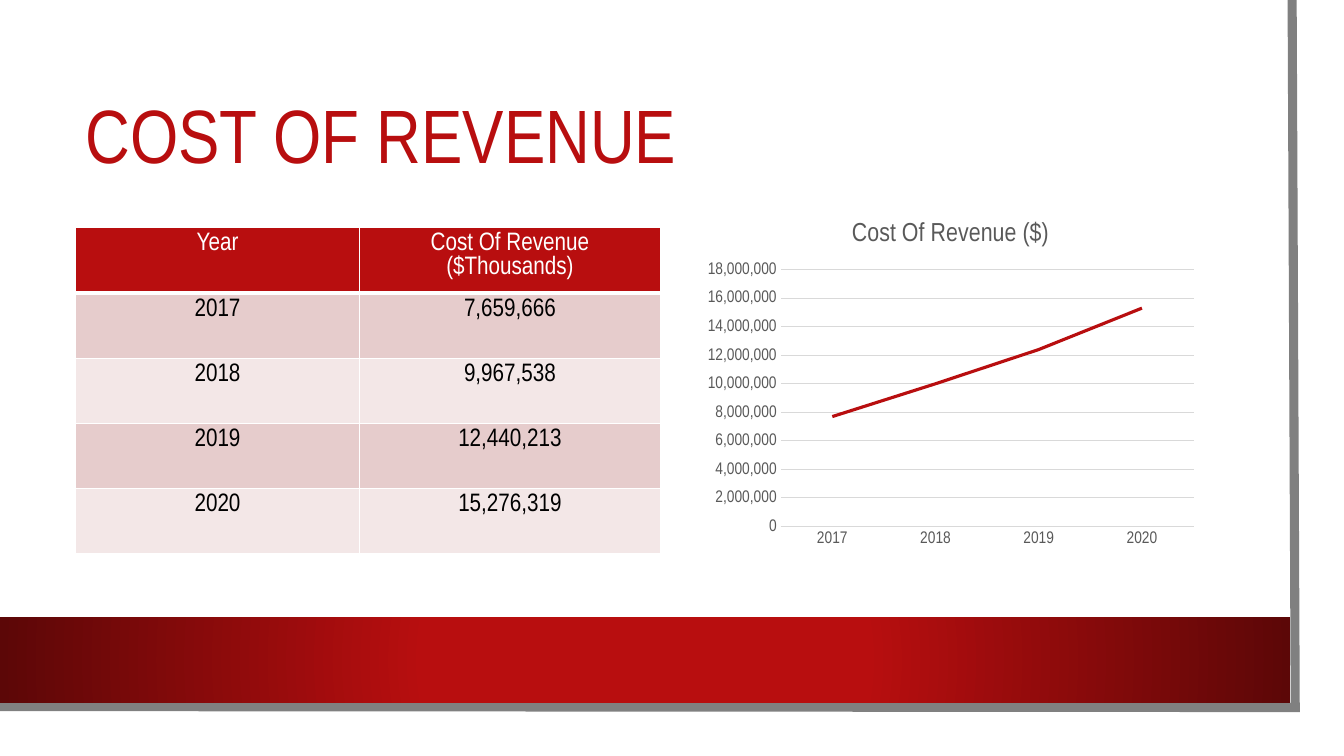
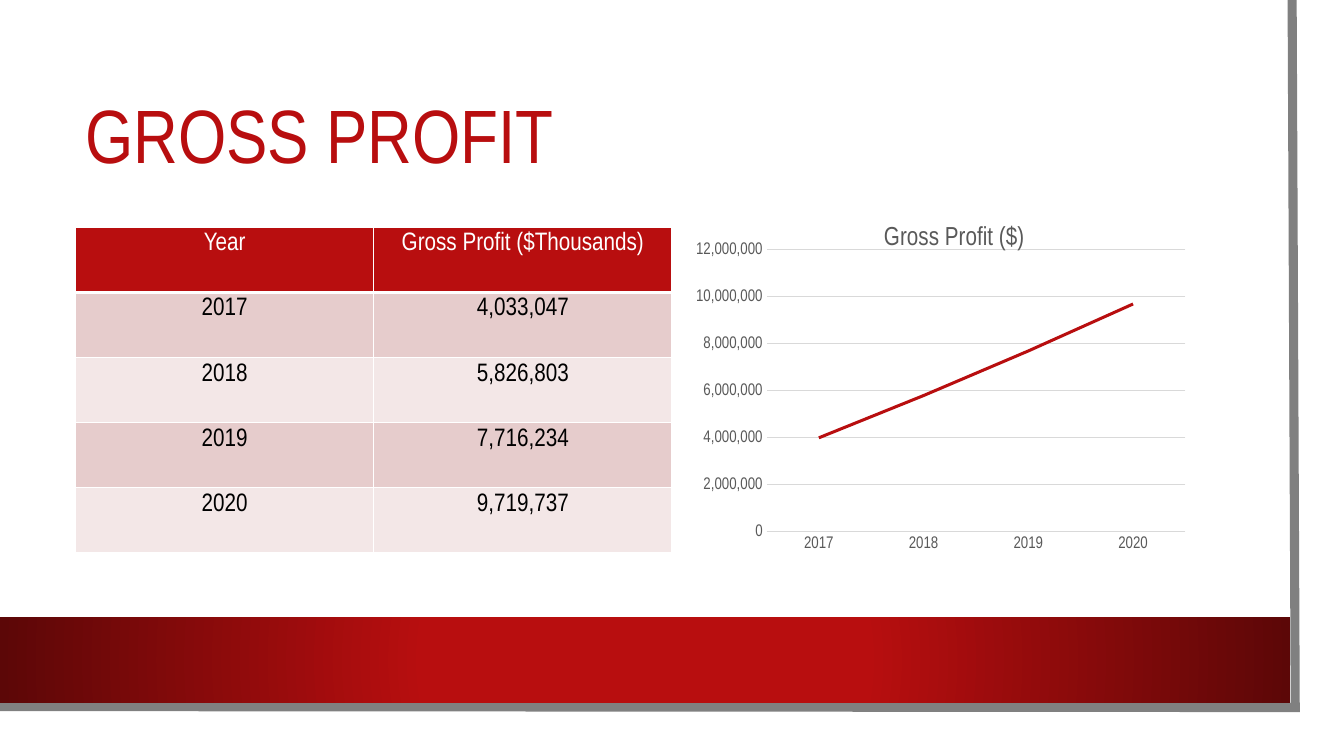
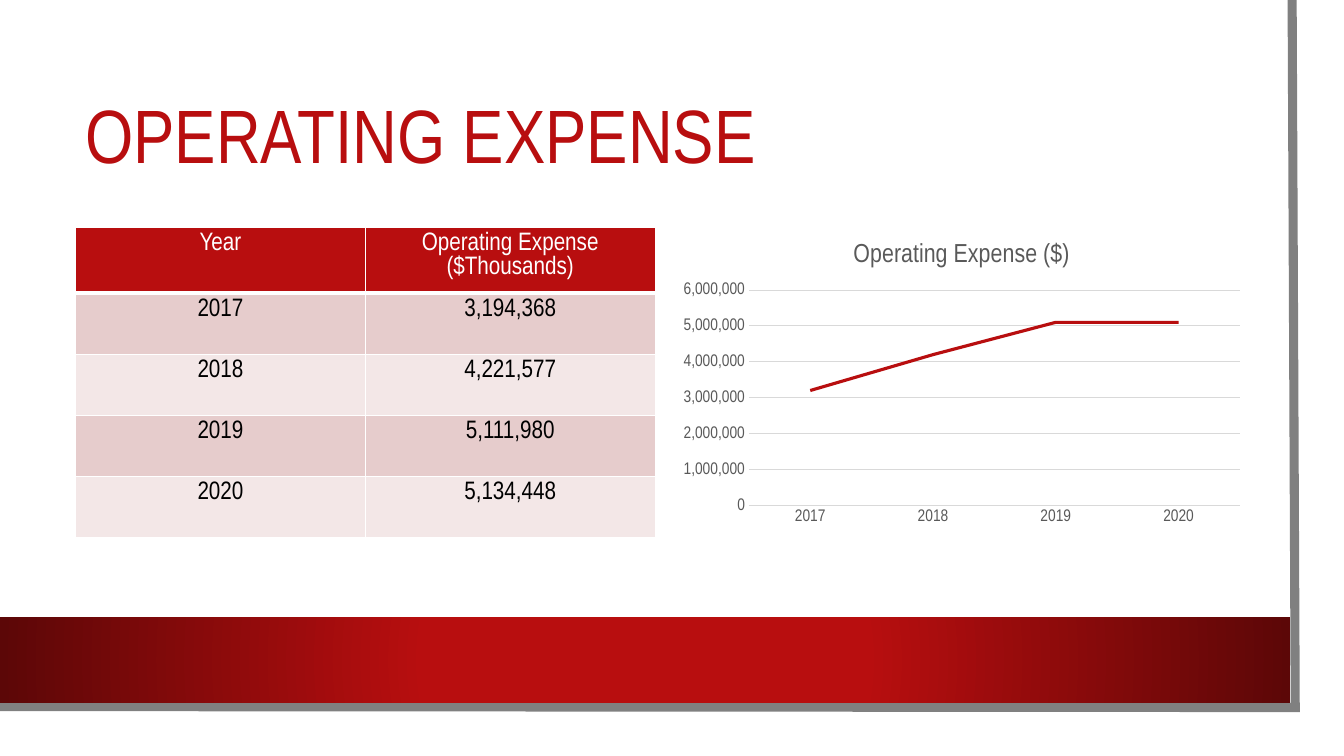
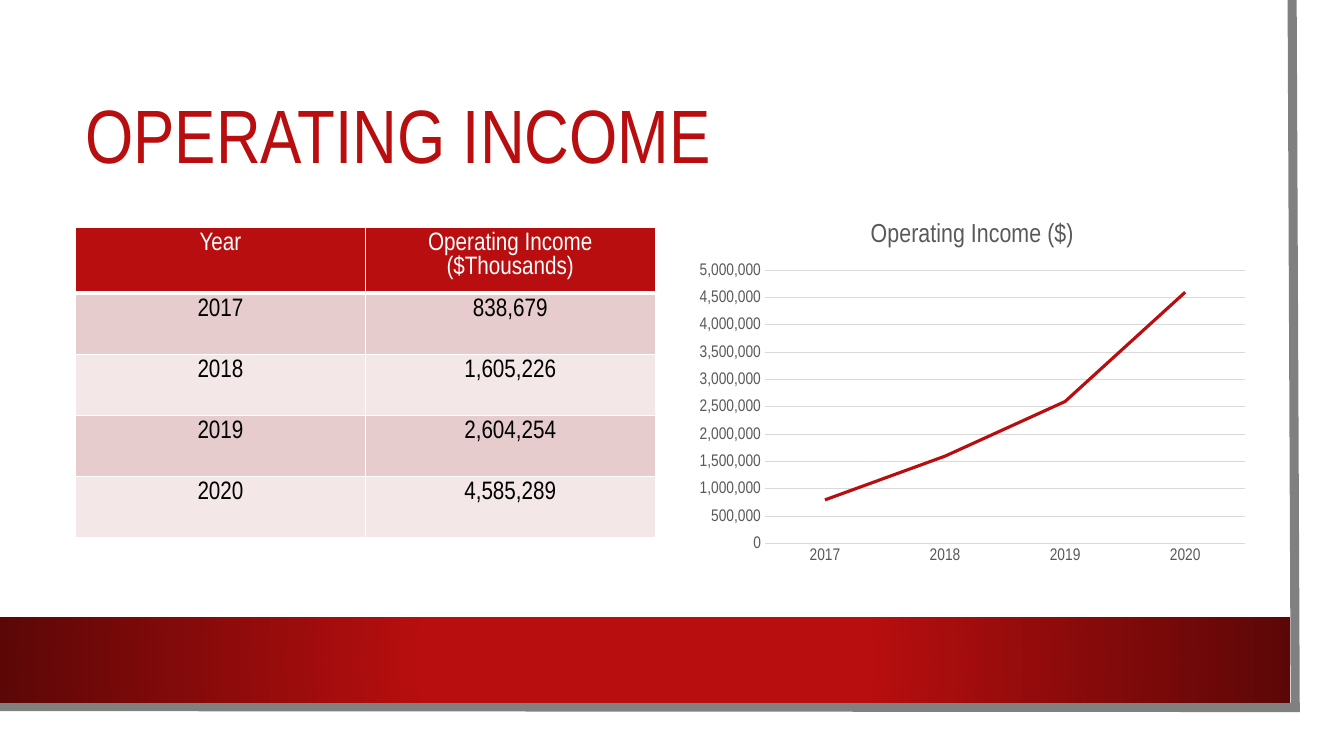
from copy import deepcopy
from dataclasses import dataclass

from pptx import Presentation
from pptx.chart.data import CategoryChartData
from pptx.dml.color import RGBColor
from pptx.enum.chart import XL_CHART_TYPE, XL_TICK_MARK
from pptx.enum.shapes import MSO_SHAPE
from pptx.enum.text import MSO_ANCHOR, PP_ALIGN
from pptx.oxml import parse_xml
from pptx.oxml.ns import nsdecls, qn
from pptx.util import Pt

LINE_CHART = XL_CHART_TYPE.LINE
NO_TICK = XL_TICK_MARK.NONE
RECTANGLE = MSO_SHAPE.RECTANGLE
MIDDLE = MSO_ANCHOR.MIDDLE
CENTER = PP_ALIGN.CENTER

BLANK_LAYOUT = 6
YEARS = ("2017", "2018", "2019", "2020")
NUMBER_FORMAT = "#,##0"


@dataclass(frozen=True)
class Theme:
    font: str = "Arial Narrow"
    red: str = "B80E0F"
    dark_red: str = "5C0707"
    white: str = "FFFFFF"
    black: str = "000000"
    frame: str = "808080"
    row_tints: tuple = ("E6CCCC", "F3E7E7")
    chart_text: str = "595959"
    grid: str = "D9D9D9"
    title_size: float = 54
    table_size: float = 18
    chart_title_size: float = 18.6
    axis_size: float = 12
    chart_size: float = 10


# One entry per slide; the chart rounds the table's yearly values.
# chart: left, top, width, height; plot: inner area as fractions of the chart
TOPICS = (
    {"name": "Cost Of Revenue", "values": (7659666, 9967538, 12440213, 15276319),
     "columns": (202.8, 215), "row_height": 46.5, "chart": (498.3, 144.7, 361.5, 250.5)},
    {"name": "Gross Profit", "values": (4033047, 5826803, 7716234, 9719737),
     "columns": (213, 213), "row_height": 46.5, "chart": (497.2, 147.2, 356.5, 261.5),
     "plot": {"x": 0.11, "y": 0.12, "w": 0.87, "h": 0.77}},
    {"name": "Operating Expense", "values": (3194368, 4221577, 5111980, 5134448),
     "columns": (207, 207), "row_height": 43.6, "chart": (480, 160.5, 414, 219)},
    {"name": "Operating Income", "values": (838679, 1605226, 2604254, 4585289),
     "columns": (207, 207), "row_height": 43.6, "chart": (491.6, 144.7, 406, 263)},
)


def apply(target, values):
    for name, value in values.items():
        setattr(target, name, value)


class ReportDeck:
    def __init__(self, theme):
        self.theme = theme
        self.deck = Presentation()
        apply(self.deck, {"slide_width": Pt(960), "slide_height": Pt(540)})
        self.page = None

    def style_font(self, font, size, color):
        apply(font, {"name": self.theme.font, "size": Pt(size), "bold": False})
        font.color.rgb = RGBColor.from_string(color)

    def style_line(self, line, color, width):
        line.color.rgb = RGBColor.from_string(color)
        line.width = Pt(width)

    # Page with the grey frame edge and the red band
    def add_page(self):
        layout = self.deck.slide_layouts[BLANK_LAYOUT]
        self.page = self.deck.slides.add_slide(layout)
        self.add_frame_edge()
        self.add_band()

    def add_frame_edge(self):
        builder = self.page.shapes.build_freeform(Pt(923), Pt(0))
        corners = [(Pt(925.2), Pt(505.4)), (Pt(-2), Pt(504.7))]
        builder.add_line_segments(corners, close=False)
        edge = builder.convert_to_shape()
        edge.shadow.inherit = False
        edge.fill.background()
        self.style_line(edge.line, self.theme.frame, 6.5)
        outline = edge._element.spPr.find(qn("a:ln"))
        outline.append(parse_xml(f'<a:miter {nsdecls("a")} lim="800000"/>'))

    def add_band(self):
        band = self.page.shapes.add_shape(
            RECTANGLE, Pt(0), Pt(440.8), Pt(921.6), Pt(61.4))
        band.shadow.inherit = False
        band.line.fill.background()
        band.fill.background()
        properties = band._element.spPr
        stops = "".join(
            f'<a:gs pos="{place}"><a:srgbClr val="{color}"/></a:gs>'
            for place, color in ((34000, self.theme.red), (100000, self.theme.dark_red)))
        properties.replace(properties.find(qn("a:noFill")), parse_xml(
            f'<a:gradFill {nsdecls("a")} rotWithShape="1"><a:gsLst>{stops}</a:gsLst>'
            '<a:path path="circle"><a:fillToRect l="50000" t="50000" r="50000" b="50000"/>'
            '</a:path></a:gradFill>'))

    def add_title(self, text):
        box = self.page.shapes.add_textbox(Pt(54), Pt(54), Pt(818.6), Pt(90.7))
        apply(box.text_frame, {"word_wrap": True, "vertical_anchor": MIDDLE})
        para = box.text_frame.paragraphs[0]
        para.line_spacing = 0.9
        span = para.add_run()
        span.text = text
        self.style_font(span.font, self.theme.title_size, self.theme.red)

    # Table with a red header and alternating row tints
    def add_table(self, rows, columns, row_height):
        frame = self.page.shapes.add_table(
            len(rows), len(columns), Pt(54), Pt(162.5),
            Pt(sum(columns)), Pt(row_height * len(rows)))
        table = frame.table
        apply(table, {"first_row": False, "horz_banding": False})
        for column, width in zip(table.columns, columns):
            column.width = Pt(width)
        for index, texts in enumerate(rows):
            table.rows[index].height = Pt(row_height)
            for cell, text in zip(table.rows[index].cells, texts):
                self.fill_cell(cell, text, index)

    def fill_cell(self, cell, text, row):
        header = row == 0
        theme = self.theme
        widths = {"L": 1, "R": 1, "T": 3 if row == 1 else 1, "B": 3 if header else 1}
        properties = cell._tc.get_or_add_tcPr()
        for side, width in widths.items():
            properties.append(parse_xml(
                f'<a:ln{side} {nsdecls("a")} w="{Pt(width)}"><a:solidFill>'
                f'<a:srgbClr val="{theme.white}"/></a:solidFill></a:ln{side}>'))
        cell.fill.solid()
        tint = theme.red if header else theme.row_tints[(row - 1) % 2]
        cell.fill.fore_color.rgb = RGBColor.from_string(tint)
        cell.margin_bottom = Pt(0)
        para = cell.text_frame.paragraphs[0]
        para.alignment = CENTER
        span = para.add_run()
        span.text = text
        self.style_font(span.font, theme.table_size, theme.white if header else theme.black)
        # The paragraph mark takes the run's font, so it adds no height
        mark = parse_xml(f'<a:endParaRPr {nsdecls("a")} sz="{theme.table_size * 100:.0f}"/>')
        mark.extend(deepcopy(list(span.font._element)))
        para._p.append(mark)

    # Line chart of one series over the years
    def add_chart(self, name, values, place, plot=None):
        theme = self.theme
        data = CategoryChartData(number_format=NUMBER_FORMAT)
        data.categories = YEARS
        data.add_series(name, [round(value, -5) for value in values])
        chart = self.page.shapes.add_chart(
            LINE_CHART, *(Pt(length) for length in place), data).chart
        self.style_font(chart.font, theme.chart_size, theme.black)
        apply(chart, {"has_legend": False, "has_title": True})

        span = chart.chart_title.text_frame.paragraphs[0].add_run()
        span.text = name
        self.style_font(span.font, theme.chart_title_size, theme.chart_text)
        chart.chart_title.include_in_layout = False

        for axis in (chart.category_axis, chart.value_axis):
            apply(axis, {"major_tick_mark": NO_TICK, "minor_tick_mark": NO_TICK})
            self.style_font(axis.tick_labels.font, theme.axis_size, theme.chart_text)
        chart.category_axis.has_major_gridlines = False
        self.style_line(chart.category_axis.format.line, theme.grid, 0.75)
        chart.value_axis.has_major_gridlines = True
        self.style_line(chart.value_axis.major_gridlines.format.line, theme.grid, 0.75)
        chart.value_axis.format.line.fill.background()
        apply(chart.value_axis.tick_labels,
              {"number_format": NUMBER_FORMAT, "number_format_is_linked": False})

        chart.plots[0].vary_by_categories = False
        series = chart.plots[0].series[0]
        series.smooth = False
        self.style_line(series.format.line, theme.red, 2.25)
        if plot:
            self.place_plot(chart, plot)

    def place_plot(self, chart, plot):
        area = chart._chartSpace.chart.plotArea
        for layout in area.findall(qn("c:layout")):
            area.remove(layout)
        modes = '<c:xMode val="edge"/><c:yMode val="edge"/>'
        sizes = "".join(f'<c:{side} val="{part}"/>' for side, part in plot.items())
        area.insert(0, parse_xml(
            f'<c:layout {nsdecls("c")}><c:manualLayout><c:layoutTarget val="inner"/>'
            f'{modes}{sizes}</c:manualLayout></c:layout>'))


def main():
    report = ReportDeck(Theme())
    for topic in TOPICS:
        name, values = topic["name"], topic["values"]
        rows = [("Year", f"{name} ($Thousands)")]
        rows += [(year, f"{value:,}") for year, value in zip(YEARS, values)]
        report.add_page()
        report.add_title(name.upper())
        report.add_table(rows, topic["columns"], topic["row_height"])
        report.add_chart(f"{name} ($)", values, topic["chart"], topic.get("plot"))
    report.deck.save("out.pptx")


if __name__ == "__main__":
    main()
